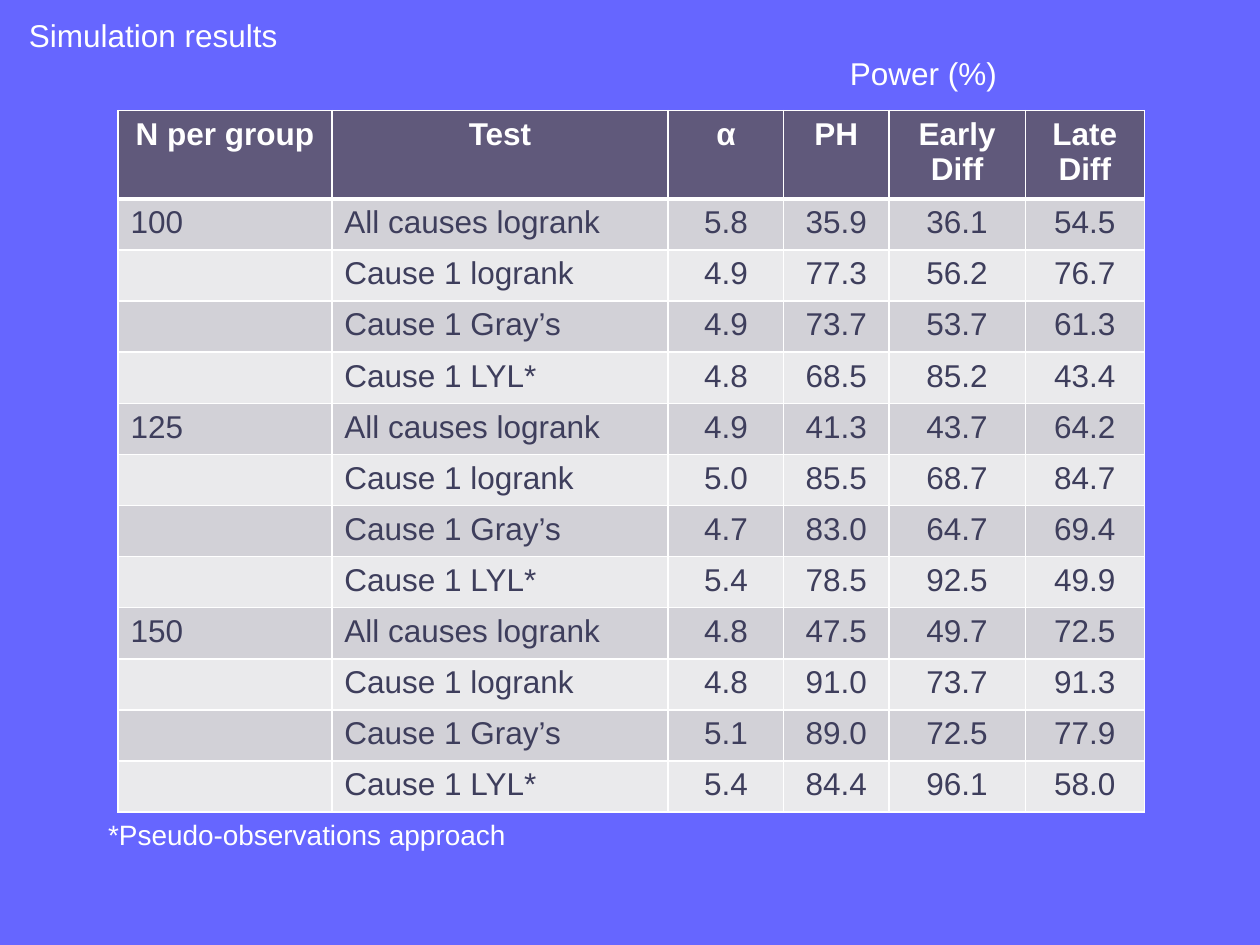
from lxml import etree
from pptx import Presentation
from pptx.dml.color import RGBColor
from pptx.enum.text import MSO_ANCHOR, MSO_AUTO_SIZE, PP_ALIGN
from pptx.oxml.ns import qn
from pptx.util import Cm, Pt

LEFT, CENTER = PP_ALIGN.LEFT, PP_ALIGN.CENTER
TOP, NO_FIT = MSO_ANCHOR.TOP, MSO_AUTO_SIZE.NONE
TITLE_ONLY = 5

# Content
TITLE = "Simulation results"
SPANNER = "Power (%)"
FOOTNOTE = "*Pseudo-observations approach"
HEADERS = ["N per group", "Test", "α", "PH", "Early\nDiff", "Late\nDiff"]
TESTS = ["All causes logrank", "Cause 1 logrank", "Cause 1 Gray’s", "Cause 1 LYL*"]
RESULTS = {
    "100": [
        ("5.8", "35.9", "36.1", "54.5"),
        ("4.9", "77.3", "56.2", "76.7"),
        ("4.9", "73.7", "53.7", "61.3"),
        ("4.8", "68.5", "85.2", "43.4"),
    ],
    "125": [
        ("4.9", "41.3", "43.7", "64.2"),
        ("5.0", "85.5", "68.7", "84.7"),
        ("4.7", "83.0", "64.7", "69.4"),
        ("5.4", "78.5", "92.5", "49.9"),
    ],
    "150": [
        ("4.8", "47.5", "49.7", "72.5"),
        ("4.8", "91.0", "73.7", "91.3"),
        ("5.1", "89.0", "72.5", "77.9"),
        ("5.4", "84.4", "96.1", "58.0"),
    ],
}

# Style and sizes in cm
FONT = "Arial"
BACKGROUND, WHITE, INK = "6666FF", "FFFFFF", "3E3E5C"
HEADER_FILL, BANDS = "60597B", ("D2D1D7", "EAEAEC")
COLUMN_WIDTHS = [4.31, 6.78, 2.33, 2.12, 2.75, 2.4]
HEADER_HEIGHT, ROW_HEIGHT = 1.78, 1.03
TABLE_LEFT, TABLE_TOP = 2.38, 2.23
SPANNER_INDENT = 16.55


def color(value):
    return RGBColor.from_string(value)


def write(frame, text, size, ink, align=LEFT, bold=False):
    """Put each line of the text in its own paragraph."""
    for index, line in enumerate(text.split("\n")):
        para = frame.add_paragraph() if index else frame.paragraphs[0]
        para.alignment = align
        span = para.add_run()
        span.text = line
        span.font.name = FONT
        span.font.size = Pt(size)
        span.font.bold = bold
        span.font.color.rgb = color(ink)


def set_borders(cell, bottom):
    """Draw white borders, 1 pt except for the bottom one."""
    properties = cell._tc.get_or_add_tcPr()
    widths = {"a:lnL": 1, "a:lnR": 1, "a:lnT": 1, "a:lnB": bottom}
    for index, (side, width) in enumerate(widths.items()):
        line = etree.Element(qn(side), w=str(Pt(width)))
        fill = etree.SubElement(line, qn("a:solidFill"))
        etree.SubElement(fill, qn("a:srgbClr"), val=WHITE)
        properties.insert(index, line)


def add_title(page):
    box = page.shapes.title
    box.left, box.top, box.width, box.height = Cm(0.33), Cm(0.2), Cm(24.33), Cm(3.33)
    frame = box.text_frame
    frame.word_wrap = True
    frame.auto_size = NO_FIT
    frame.vertical_anchor = TOP
    write(frame, f"{TITLE}\n{SPANNER}", 18, WHITE)
    indented = frame.paragraphs[1]._p.get_or_add_pPr()
    indented.set("marL", str(Cm(SPANNER_INDENT)))
    indented.set("indent", "0")


def add_results(page):
    rows = [HEADERS]
    for group, results in RESULTS.items():
        for index, (test, values) in enumerate(zip(TESTS, results)):
            rows.append(["" if index else group, test, *values])
    heights = [HEADER_HEIGHT] + [ROW_HEIGHT] * (len(rows) - 1)
    table = page.shapes.add_table(
        len(rows), len(HEADERS), Cm(TABLE_LEFT), Cm(TABLE_TOP),
        Cm(sum(COLUMN_WIDTHS)), Cm(sum(heights))).table
    for column, width in zip(table.columns, COLUMN_WIDTHS):
        column.width = Cm(width)
    for row, height in zip(table.rows, heights):
        row.height = Cm(height)

    for r, texts in enumerate(rows):
        header = r == 0
        for c, text in enumerate(texts):
            cell = table.cell(r, c)
            cell.fill.solid()
            cell.fill.fore_color.rgb = color(HEADER_FILL if header else BANDS[(r - 1) % 2])
            set_borders(cell, bottom=3 if header else 1)
            if text:
                write(cell.text_frame, text, 18, WHITE if header else INK,
                      CENTER if header or c > 1 else LEFT, header)


def add_footnote(page):
    box = page.shapes.add_textbox(Cm(1.93), Cm(16.36), Cm(21.16), Cm(0.94))
    box.text_frame.word_wrap = True
    write(box.text_frame, FOOTNOTE, 16, WHITE)


def main():
    deck = Presentation()
    deck.slide_width, deck.slide_height = Cm(25.4), Cm(19.05)
    page = deck.slides.add_slide(deck.slide_layouts[TITLE_ONLY])
    page.background.fill.solid()
    page.background.fill.fore_color.rgb = color(BACKGROUND)
    add_title(page)
    add_results(page)
    add_footnote(page)
    deck.save("out.pptx")


if __name__ == "__main__":
    main()
